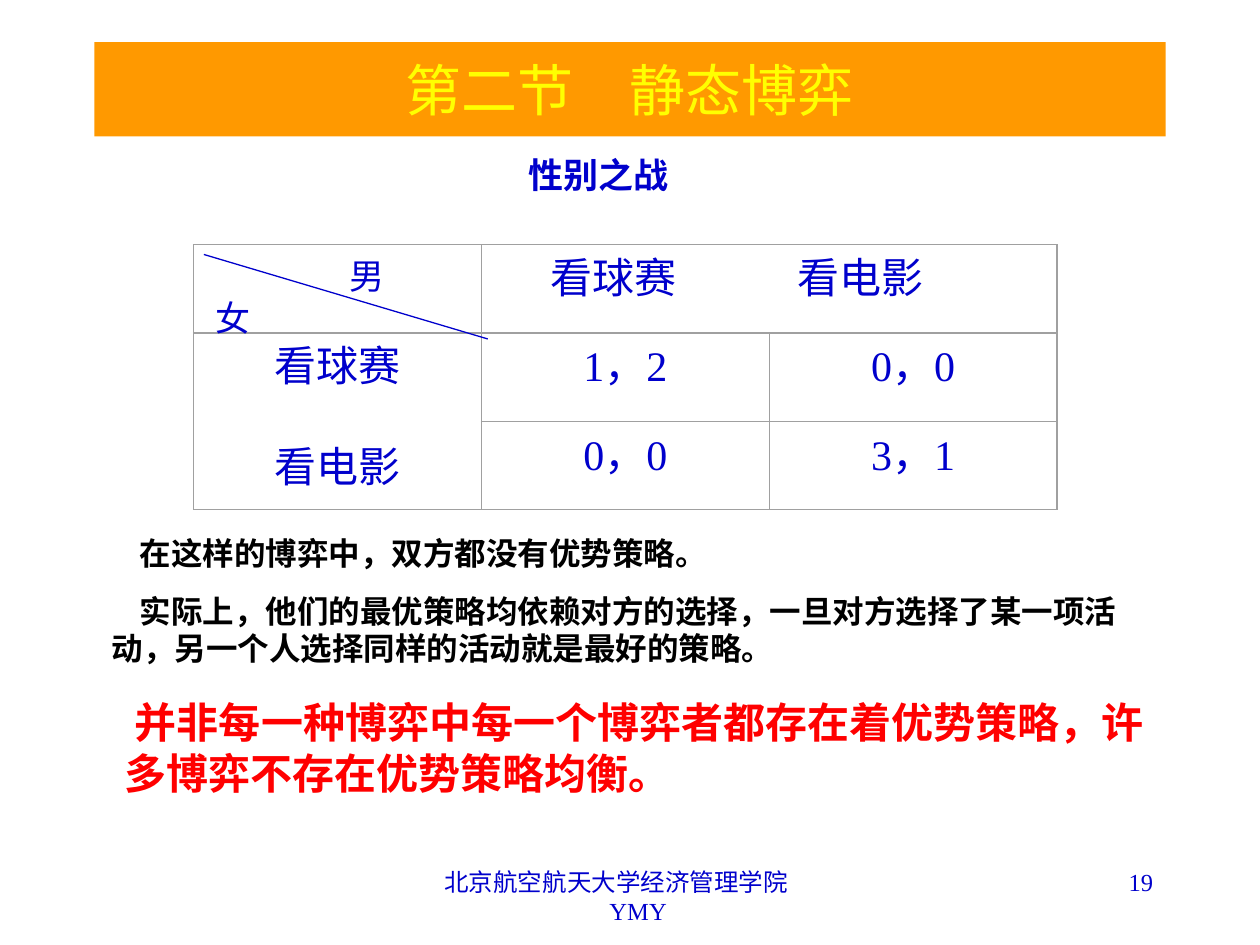
from dataclasses import dataclass

from lxml.etree import SubElement
from pptx import Presentation
from pptx.dml.color import RGBColor
from pptx.enum.shapes import MSO_CONNECTOR
from pptx.enum.text import MSO_ANCHOR as Anchor, MSO_AUTO_SIZE as AutoSize, PP_ALIGN as Align
from pptx.oxml import parse_xml
from pptx.oxml.ns import nsdecls, qn
from pptx.util import Cm, Pt


@dataclass(frozen=True)
class Theme:
    blue: str = "0000CC"
    yellow: str = "FFFF00"
    orange: str = "FF9900"
    red: str = "FF0000"
    black: str = "000000"
    white: str = "FFFFFF"
    grey: str = "A0A0A0"
    latin: str = "Times New Roman"
    chinese: str = "Noto Sans CJK SC"
    title: int = 32
    large: int = 24
    medium: int = 20
    body: int = 18
    footer: int = 14
    line_factor: float = 1.2
    rule: float = 0.75


@dataclass(frozen=True)
class Box:
    """A region of the slide, in centimetres."""
    left: float
    top: float
    width: float
    height: float

    def lengths(self):
        return [Cm(value) for value in (self.left, self.top, self.width, self.height)]


THEME = Theme()


def set_all(target, values):
    for name, value in values.items():
        setattr(target, name, value)


def write(paragraph, text, size, color, latin=THEME.latin, bold=False,
          left=0, right=0, first=0, **layout):
    """Fill a paragraph; left, right and first are its indents in centimetres."""
    paragraph.text = text
    properties = paragraph._p.get_or_add_pPr()
    for name, indent in {"marL": left, "marR": right, "indent": first}.items():
        properties.set(name, str(Cm(indent)))
    properties.set("hangingPunct", "0")
    SubElement(properties, qn("a:buNone"))
    spacing = {"line_spacing": Pt(size * THEME.line_factor), "space_before": Pt(0)}
    set_all(paragraph, spacing | layout)
    for run in paragraph.runs:
        set_all(run.font, {"size": Pt(size), "bold": bold, "name": latin})
        run.font.color.rgb = RGBColor.from_string(color)
        east_asian = parse_xml(f'<a:ea {nsdecls("a")} typeface="{THEME.chinese}"/>')
        run._r.rPr.find(qn("a:latin")).addnext(east_asian)


def prepare_frame(shape, anchor=Anchor.TOP):
    frame = shape.text_frame
    set_all(frame, {
        "word_wrap": True, "auto_size": AutoSize.NONE, "vertical_anchor": anchor,
        "margin_left": Cm(0.25), "margin_right": Cm(0.25),
        "margin_top": Cm(0.13), "margin_bottom": Cm(0.13),
    })
    return frame


def paint(shape, color):
    shape.fill.solid()
    shape.fill.fore_color.rgb = RGBColor.from_string(color)


def place(shape, box):
    set_all(shape, dict(zip(("left", "top", "width", "height"), box.lengths())))


def add_label(slide, box, lines, size, color, fill=None, **layout):
    """Add a text box; lines holds pairs of text and its own indents."""
    label = slide.shapes.add_textbox(*box.lengths())
    if fill:
        paint(label, fill)
    frame = prepare_frame(label)
    for index, (text, indents) in enumerate(lines):
        paragraph = frame.add_paragraph() if index else frame.paragraphs[0]
        write(paragraph, text, size, color, **indents, **layout)


def add_title(slide, box):
    title = slide.shapes.title
    place(title, box)
    paint(title, THEME.orange)
    frame = prepare_frame(title, Anchor.MIDDLE)
    write(frame.paragraphs[0], "第二节　静态博弈", THEME.title, THEME.yellow,
          alignment=Align.CENTER)


def outline_cell(cell, open_side=None):
    """Draw the cell's borders, leaving out open_side."""
    cell.fill.background()
    properties = cell._tc.get_or_add_tcPr()
    color = f'<a:solidFill><a:srgbClr val="{THEME.grey}"/></a:solidFill>'
    for position, side in enumerate(("lnL", "lnR", "lnT", "lnB")):
        stroke = "<a:noFill/>" if side == open_side else color
        properties.insert(position, parse_xml(
            f'<a:{side} {nsdecls("a")} w="{Pt(THEME.rule)}">{stroke}</a:{side}>'))


def add_payoff_table(slide, box):
    table = slide.shapes.add_table(3, 3, *box.lengths()).table
    set_all(table, {"first_row": False, "horz_banding": False})
    for row in table.rows:
        row.height = Cm(box.height / 3)
    for column in table.columns:
        column.width = Cm(box.width / 3)
    open_sides = {(0, 1): "lnR", (0, 2): "lnL"}
    for row in range(3):
        for column in range(3):
            cell = table.cell(row, column)
            outline_cell(cell, open_sides.get((row, column)))
            set_all(cell, {"margin_top": Cm(0.21), "margin_bottom": Cm(0.05)})

    for column, (choice, margin) in enumerate((("看球赛", 1.4), ("看电影", 0.58)), start=1):
        cell = table.cell(0, column)
        cell.margin_left = Cm(margin)
        write(cell.text_frame.paragraphs[0], choice, THEME.large, THEME.blue)

    side = table.cell(1, 0)
    side.merge(table.cell(2, 0))
    write(side.text_frame.paragraphs[0], "看球赛", THEME.large, THEME.blue,
          alignment=Align.CENTER)
    write(side.text_frame.add_paragraph(), "看电影", THEME.large, THEME.blue,
          alignment=Align.CENTER, space_before=Pt(THEME.large * THEME.line_factor))

    for row, payoffs in enumerate((("1，2", "0，0"), ("0，0", "3，1")), start=1):
        for column, payoff in enumerate(payoffs, start=1):
            write(table.cell(row, column).text_frame.paragraphs[0], payoff,
                  THEME.large, THEME.blue, alignment=Align.CENTER)

    add_corner(slide, Box(box.left, box.top, box.width / 3, box.height / 3))


def add_corner(slide, box):
    """Name the two players on either side of a diagonal."""
    label = Box(box.left + 0.2, box.top + 0.06, box.width - 0.4, box.height)
    add_label(slide, label, (("男", {"left": 2.7}), ("女", {})), THEME.medium, THEME.blue)
    diagonal = slide.shapes.add_connector(
        MSO_CONNECTOR.STRAIGHT, Cm(box.left + 0.21), Cm(box.top + 0.2),
        Cm(box.left + box.width + 0.13), Cm(box.top + box.height + 0.12))
    diagonal.line.color.rgb = RGBColor.from_string(THEME.blue)
    diagonal.line.width = Pt(THEME.rule)
    SubElement(diagonal._element.spPr, qn("a:effectLst"))


def add_explanation(slide, box):
    body = slide.placeholders[1]
    place(body, box)
    frame = prepare_frame(body)
    texts = (
        "在这样的博弈中，双方都没有优势策略。",
        "实际上，他们的最优策略均依赖对方的选择，一旦对方选择了某一项活动，"
        "另一个人选择同样的活动就是最好的策略。",
    )
    for index, text in enumerate(texts):
        paragraph = frame.add_paragraph() if index else frame.paragraphs[0]
        write(paragraph, text, THEME.body, THEME.black, latin=THEME.chinese, bold=True,
              first=0.57, alignment=Align.LEFT, space_before=Pt(11.2 if index else 0))


def add_footer(slide, box):
    school = Box(box.left, box.top, 8.05, box.height)
    number = Box(box.left + box.width - 5.28, box.top, 5.28, box.height)
    lines = (("北京航空航天大学经济管理学院", {"right": 0.56}), ("YMY", {"left": 0.32}))
    add_label(slide, school, lines, THEME.footer, THEME.blue, alignment=Align.CENTER)
    add_label(slide, number, (("19", {}),), THEME.footer, THEME.blue, alignment=Align.RIGHT)


def main():
    presentation = Presentation()
    set_all(presentation, {"slide_width": Cm(25.4), "slide_height": Cm(19.05)})
    slide = presentation.slides.add_slide(presentation.slide_layouts[1])
    emphasis = {"latin": THEME.chinese, "bold": True, "fill": THEME.white}
    add_title(slide, Box(1.9, 0.85, 21.6, 1.9))
    add_label(slide, Box(1.07, 2.96, 22, 1.38), (("性别之战", {}),),
              THEME.medium, THEME.blue, alignment=Align.CENTER, **emphasis)
    add_payoff_table(slide, Box(3.9, 4.93, 17.41, 5.35))
    add_explanation(slide, Box(2, 10.64, 21.59, 2.95))
    conclusion = "并非每一种博弈中每一个博弈者都存在着优势策略，许多博弈不存在优势策略均衡。"
    add_label(slide, Box(1.3, 13.92, 22, 2.57), ((conclusion, {"left": 0.97, "first": 0.2}),),
              THEME.large, THEME.red, alignment=Align.JUSTIFY, **emphasis)
    add_footer(slide, Box(8.68, 17.35, 14.82, 1.27))
    presentation.save("out.pptx")


if __name__ == "__main__":
    main()
